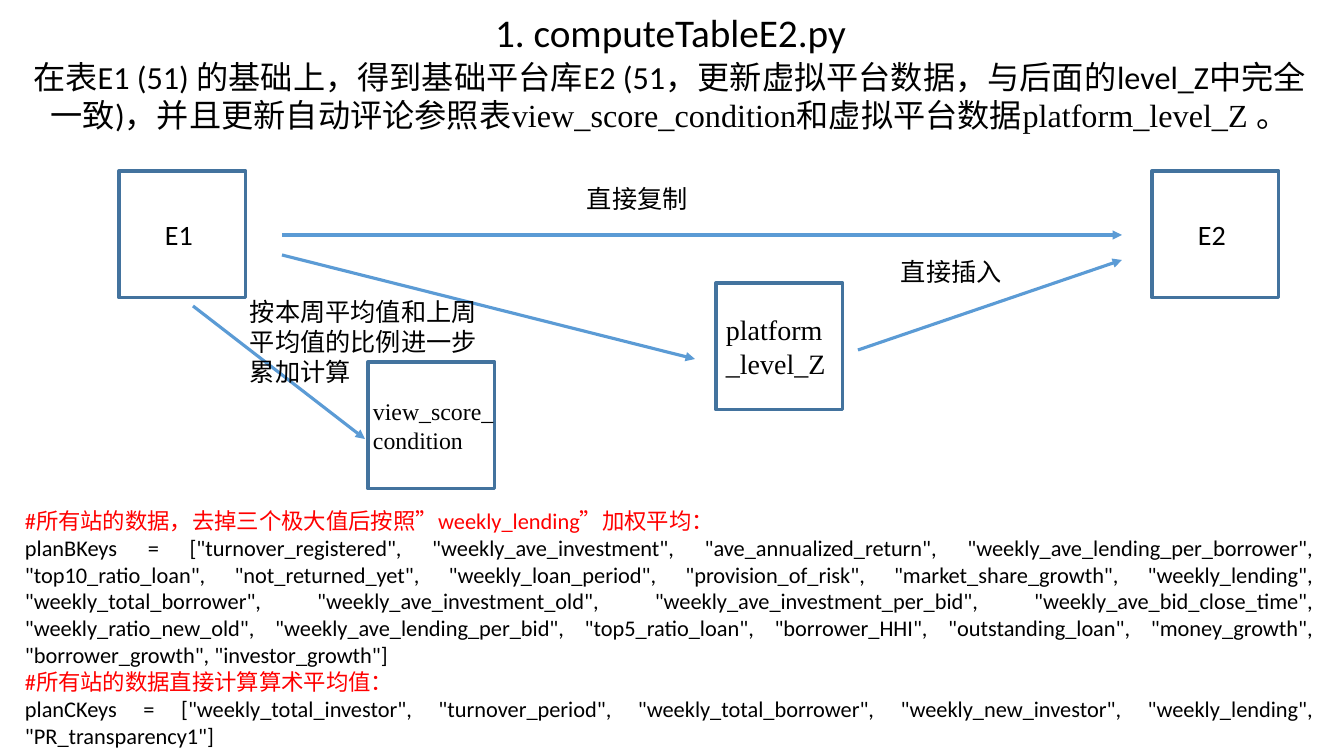
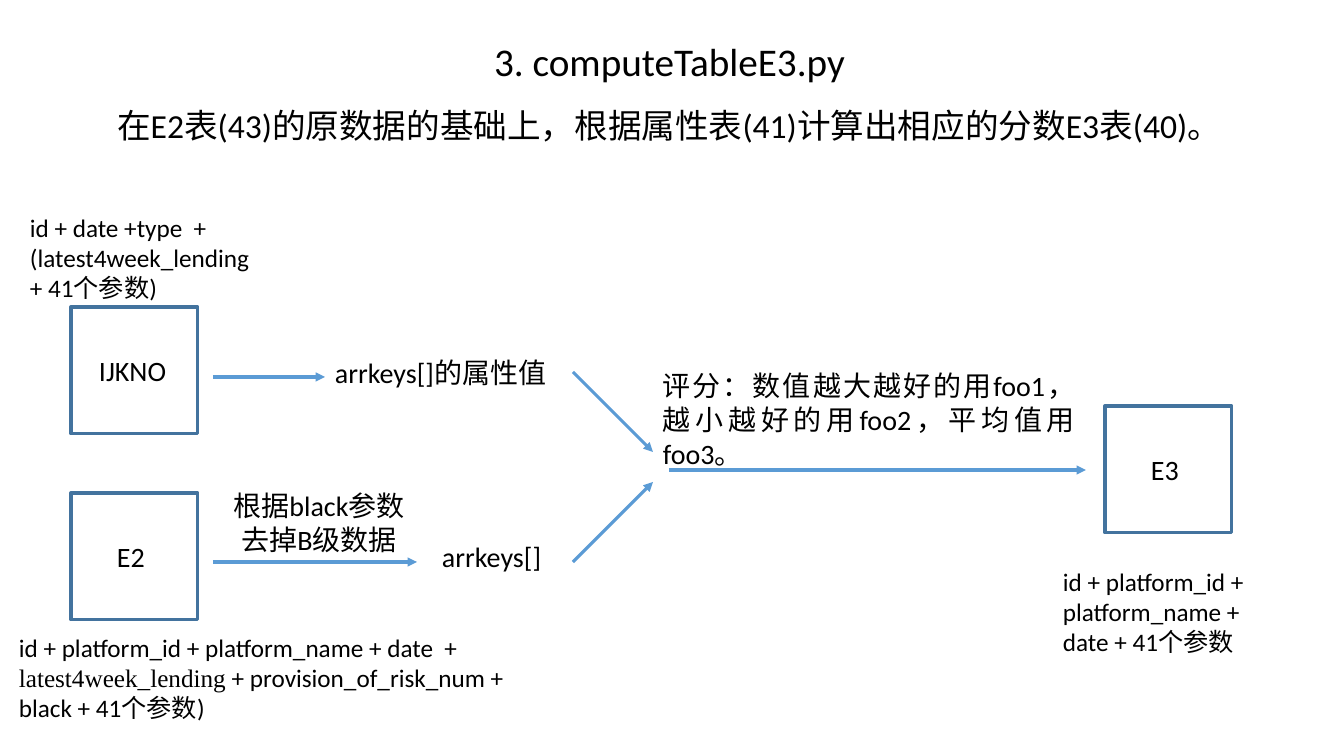
from lxml.etree import SubElement
from pptx import Presentation
from pptx.dml.color import RGBColor
from pptx.enum.shapes import MSO_CONNECTOR, MSO_SHAPE
from pptx.enum.text import MSO_ANCHOR, MSO_AUTO_SIZE, PP_ALIGN
from pptx.oxml.ns import qn
from pptx.util import Emu, Pt

# Shared style
SCALE = 12192000 / 1344  # EMU per px
NODE_SIZE = 127
BLACK, RED, OUTLINE, ARROW = "000000", "FF0000", "43739E", "5B9BD5"
SANS, SERIF = "Calibri", "Times New Roman"
LEFT, CENTER, JUSTIFY = PP_ALIGN.LEFT, PP_ALIGN.CENTER, PP_ALIGN.JUSTIFY


def px(*lengths):
    return [Emu(round(length * SCALE)) for length in lengths]


def write(box, paragraphs, size, align=LEFT, anchor=MSO_ANCHOR.TOP):
    """Each paragraph is a list of (text, font) spans; lines with # are red."""
    frame = box.text_frame
    frame.word_wrap = True
    frame.auto_size = MSO_AUTO_SIZE.NONE
    frame.vertical_anchor = anchor
    for index, spans in enumerate(paragraphs):
        para = frame.add_paragraph() if index else frame.paragraphs[0]
        para.alignment = align
        color = RED if spans[0][0].startswith("#") else BLACK
        for text, font in spans:
            span = para.add_run()
            span.text = text
            span.font.name = font
            span.font.size = Pt(size)
            span.font.color.rgb = RGBColor.from_string(color)


# Slide contents
plan_b = (
    'planBKeys = ["turnover_registered", "weekly_ave_investment", '
    '"ave_annualized_return", "weekly_ave_lending_per_borrower", '
    '"top10_ratio_loan", "not_returned_yet", "weekly_loan_period", '
    '"provision_of_risk", "market_share_growth", "weekly_lending", '
    '"weekly_total_borrower", "weekly_ave_investment_old", '
    '"weekly_ave_investment_per_bid", "weekly_ave_bid_close_time", '
    '"weekly_ratio_new_old", "weekly_ave_lending_per_bid", '
    '"top5_ratio_loan", "borrower_HHI", "outstanding_loan", '
    '"money_growth", "borrower_growth", "investor_growth"]'
)
plan_c = (
    'planCKeys = ["weekly_total_investor", "turnover_period", '
    '"weekly_total_borrower", "weekly_new_investor", "weekly_lending", '
    '"PR_transparency1"]'
)

# title: text, left, top, width, height
# nodes: left, top, label, font, size, left inset, right inset
# arrows: from x, from y, to x, to y
# texts: left, top, width, height, size, alignment, paragraphs
slides = [
    {
        "title": ("1. computeTableE2.py", 485, 3, 373, 57),
        "nodes": [
            (119, 171, "E1", SANS, 20, 46, 10),
            (1152, 171, "E2", SANS, 20, 46, 10),
            (716, 283, "platform_level_Z", SERIF, 20, 10, 10),
            (368, 362, "view_score_condition", SERIF, 17, 5, 0),
        ],
        "arrows": [
            (282, 235, 1122, 235),
            (282, 255, 695, 359),
            (858, 350, 1122, 260),
            (193, 306, 365, 439),
        ],
        "texts": [
            (15, 52, 1309, 89, 23, CENTER, [[
                ("在表E1 (51) 的基础上，得到基础平台库E2 (51，更新虚拟平台数据，"
                 "与后面的level_Z中完全一致)，并且更新自动评论参照表", SANS),
                ("view_score_condition", SERIF),
                ("和虚拟平台数据", SANS),
                ("platform_level_Z ", SERIF),
                ("。", SANS),
            ]]),
            (577, 178, 130, 40, 18, LEFT, [[("直接复制", SANS)]]),
            (891, 251, 130, 40, 18, LEFT, [[("直接插入", SANS)]]),
            (240, 291, 255, 102, 18, LEFT,
             [[("按本周平均值和上周平均值的比例进一步累加计算", SANS)]]),
            (15, 502, 1309, 254, 16, JUSTIFY, [
                [("#所有站的数据，去掉三个极大值后按照”weekly_lending”加权平均：", SANS)],
                [(plan_b, SANS)],
                [("#所有站的数据直接计算算术平均值：", SANS)],
                [(plan_c, SANS)],
            ]),
        ],
    },
    {
        "title": ("3. computeTableE3.py", 484, 32, 381, 57),
        "nodes": [
            (71, 307, "IJKNO", SANS, 20, 28, 10),
            (71, 493, "E2", SANS, 20, 46, 10),
            (1105, 406, "E3", SANS, 20, 46, 10),
        ],
        "arrows": [
            (213, 377, 325, 377),
            (213, 562, 417, 562),
            (573, 372, 653, 452),
            (573, 562, 653, 482),
            (669, 470, 1086, 470),
        ],
        "texts": [
            (83, 100, 1172, 50, 24, CENTER,
             [[("在E2表(43)的原数据的基础上，根据属性表(41)计算出相应的分数E3表(40)。", SANS)]]),
            (20, 207, 248, 102, 18, LEFT,
             [[("id + date +type  + (latest4week_lending + 41个参数)", SANS)]]),
            (325, 351, 234, 44, 20, LEFT, [[("arrkeys[]的属性值", SANS)]]),
            (220, 484, 198, 78, 20, CENTER, [[("根据black参数去掉B级数据", SANS)]]),
            (432, 535, 125, 44, 20, LEFT, [[("arrkeys[]", SANS)]]),
            (653, 364, 432, 78, 20, JUSTIFY,
             [[("评分：数值越大越好的用foo1，越小越好的用foo2，平均值用foo3。", SANS)]]),
            (9, 627, 531, 102, 18, LEFT, [[
                ("id + platform_id + platform_name + date  + ", SANS),
                ("latest4week_lending", SERIF),
                (" + provision_of_risk_num + black + 41个参数)", SANS),
            ]]),
            (1053, 561, 241, 102, 18, LEFT,
             [[("id + platform_id + platform_name + date + 41个参数", SANS)]]),
        ],
    },
]

deck = Presentation()
deck.slide_width, deck.slide_height = px(1344, 756)

for content in slides:
    page = deck.slides.add_slide(deck.slide_layouts[5])

    # Title
    heading, *place = content["title"]
    title = page.shapes.title
    title.left, title.top, title.width, title.height = px(*place)
    write(title, [[(heading, SANS)]], 28)

    # Table nodes
    for left, top, label, font, size, inset_left, inset_right in content["nodes"]:
        node = page.shapes.add_shape(
            MSO_SHAPE.RECTANGLE, *px(left, top, NODE_SIZE, NODE_SIZE))
        node.shadow.inherit = False
        node.fill.background()
        node.line.color.rgb = RGBColor.from_string(OUTLINE)
        node.line.width = Pt(2.25)
        frame = node.text_frame
        frame.margin_left, frame.margin_right = px(inset_left, inset_right)
        write(node, [[(label, font)]], size, anchor=MSO_ANCHOR.MIDDLE)

    # Arrows
    for ends in content["arrows"]:
        arrow = page.shapes.add_connector(MSO_CONNECTOR.STRAIGHT, *px(*ends))
        arrow.line.color.rgb = RGBColor.from_string(ARROW)
        arrow.line.width = Pt(2.25)
        SubElement(arrow.line._get_or_add_ln(), qn("a:tailEnd"), type="triangle")
        SubElement(arrow._element.spPr, qn("a:effectLst"))

    # Descriptions and labels
    for left, top, width, height, size, align, paragraphs in content["texts"]:
        box = page.shapes.add_textbox(*px(left, top, width, height))
        write(box, paragraphs, size, align)

deck.save("out.pptx")
